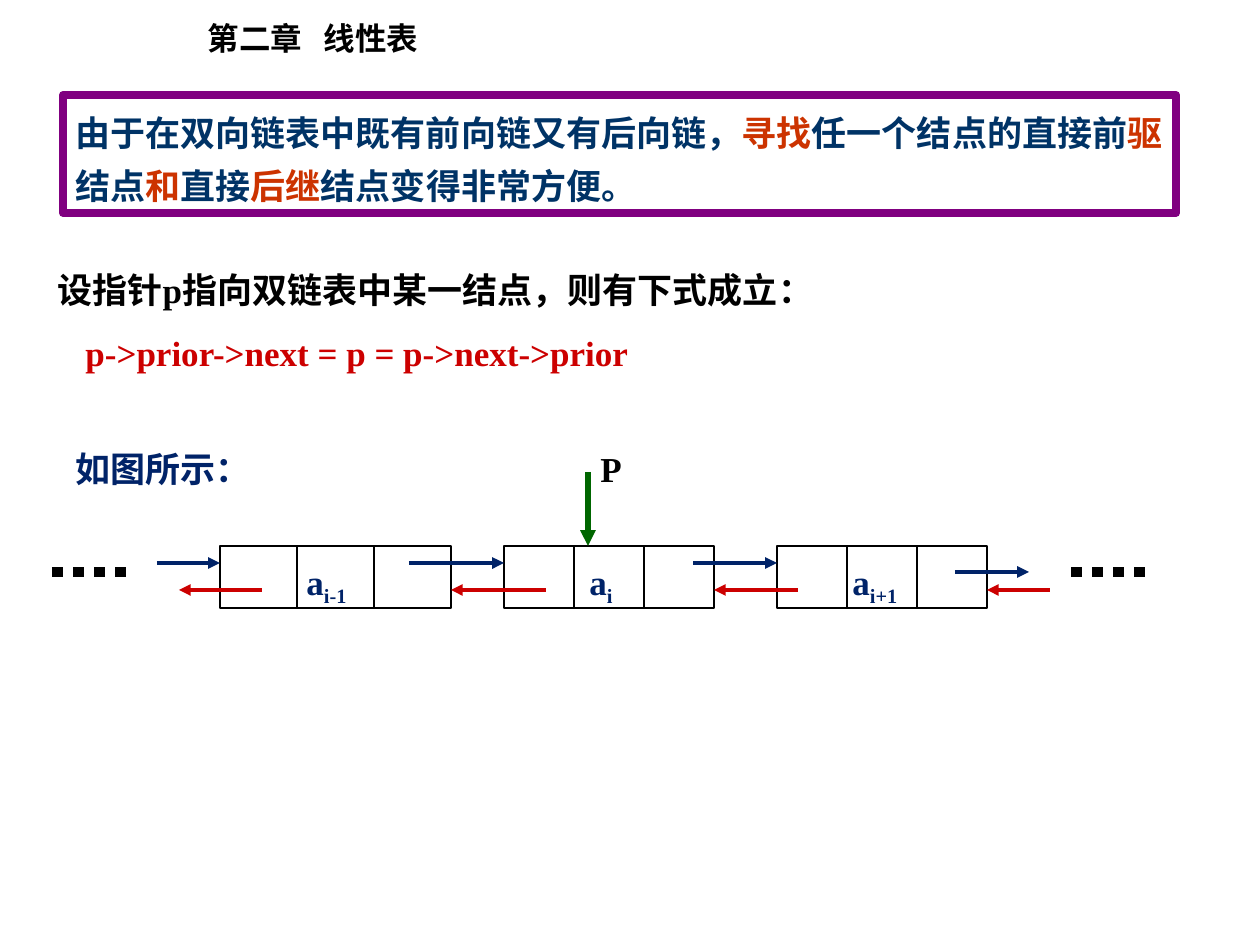
"""Build the slide on links between neighbours in a doubly linked list."""
import dataclasses

import pptx
import pptx.dml.color
import pptx.enum.dml
import pptx.enum.shapes
import pptx.enum.text
import pptx.oxml
import pptx.oxml.ns
import pptx.util

PX = 914400 / 126


@dataclasses.dataclass(frozen=True)
class Theme:
    """Hold the colours and type sizes of the slide."""
    font: str = "Times New Roman"
    title: int = 18
    body: int = 20
    black: str = "000000"
    navy: str = "002368"
    blue: str = "003366"
    orange: str = "CC3300"
    red: str = "CC0000"
    green: str = "006600"
    purple: str = "800080"


THEME = Theme()


def emu(px):
    """Turn px into EMU."""
    return pptx.util.Emu(round(px * PX))


def rgb(color):
    """Turn a hex string into a colour."""
    return pptx.dml.color.RGBColor.from_string(color)


def add_element(parent, tag, **attrs):
    """Append a drawing element with the given attributes."""
    child = pptx.oxml.parse_xml(f"<{tag} {pptx.oxml.ns.nsdecls('a')}/>")
    for name, value in attrs.items():
        child.set(name, value)
    parent.append(child)
    return child


def write(shape, parts, size=THEME.body, spacing=None, tab=None):
    """Fill a shape with one bold paragraph of (text, colour, baseline) parts."""
    tf = shape.text_frame
    tf.word_wrap = True
    tf.auto_size = pptx.enum.text.MSO_AUTO_SIZE.NONE
    tf.vertical_anchor = pptx.enum.text.MSO_ANCHOR.TOP
    p = tf.paragraphs[0]
    p.alignment = pptx.enum.text.PP_ALIGN.LEFT
    if spacing:
        p.line_spacing = spacing
    if tab:
        tabs = add_element(p._p.get_or_add_pPr(), "a:tabLst")
        add_element(tabs, "a:tab", pos=str(emu(tab)), algn="l")
    p.font.name = THEME.font
    p.font.size = pptx.util.Pt(size)
    p.font.bold = True
    for text, color, baseline in parts:
        r = p.add_run()
        r.text = text
        r.font.color.rgb = rgb(color)
        if baseline:
            r._r.get_or_add_rPr().set("baseline", str(baseline))


def add_text(shapes, box, parts, **style):
    """Add a text box."""
    write(shapes.add_textbox(*map(emu, box)), parts, **style)


def add_frame(shapes, box, color, width):
    """Add an unfilled rectangle."""
    s = shapes.add_shape(pptx.enum.shapes.MSO_SHAPE.RECTANGLE, *map(emu, box))
    s.shadow.inherit = False
    s.fill.background()
    s.line.color.rgb = rgb(color)
    s.line.width = pptx.util.Pt(width)
    return s


def add_line(shapes, start, end, color, width, arrow=False, dotted=False):
    """Add a straight line, with an arrowhead or dots if asked for."""
    s = shapes.add_connector(pptx.enum.shapes.MSO_CONNECTOR.STRAIGHT,
                             *map(emu, (*start, *end)))
    s.line.color.rgb = rgb(color)
    s.line.width = pptx.util.Pt(width)
    if dotted:
        s.line.dash_style = pptx.enum.dml.MSO_LINE.ROUND_DOT
    if arrow:
        add_element(s.line._get_or_add_ln(), "a:tailEnd", type="triangle")
    add_element(s._element.spPr, "a:effectLst")


def add_title(slide, box):
    """Place the chapter title."""
    s = slide.shapes.title
    s.left, s.top, s.width, s.height = map(emu, box)
    write(s, [("第二章\t线性表", THEME.black, 0)], size=THEME.title, tab=116)


def add_statement(shapes, box):
    """Add the framed statement with its key words picked out."""
    texts = ["由于在双向链表中既有前向链又有后向链，", "寻找", "任一个结点的直接前", "驱",
             "结点", "和", "直接", "后继", "结点变得非常方便。"]
    colors = (THEME.blue, THEME.orange)
    parts = [(text, colors[i % 2], 0) for i, text in enumerate(texts)]
    write(add_frame(shapes, box, THEME.purple, 4.5), parts, spacing=1.25)


def add_formula(shapes, box):
    """Add the lead-in and the identity below it."""
    x, y, w, h = box
    add_text(shapes, (x, y, w, 66),
             [("设指针p指向双链表中某一结点，则有下式成立：", THEME.black, 0)], spacing=1.25)
    add_text(shapes, (x + 28, y + 73, w - 189, h - 73),
             [("p->prior->next = p = p->next->prior", THEME.red, 0)])


def add_node(shapes, box, index, label_x, label_w):
    """Add a node of three equal cells with its label."""
    x, y, w, h = box
    add_frame(shapes, box, THEME.black, 1.5)
    for i in (1, 2):
        cx = x + w * i / 3
        add_line(shapes, (cx, y), (cx, y + h), THEME.black, 1.5)
    add_text(shapes, (x + label_x, y + 8, label_w, h - 2),
             [("a", THEME.navy, 0), (index, THEME.navy, -25000)])


def add_diagram(shapes, box):
    """Add the linked nodes, their links and the pointer."""
    x, y, w, h = box
    add_text(shapes, (x + 11, y, 179, 55), [("如图所示：", THEME.navy, 0)])
    group = shapes.add_group_shape().shapes
    node_y, node_h = y + 105, h - 105
    for nx, nw, index, label_x, label_w in ((168, 231, "i-1", 74, 73),
                                           (452, 210, "i", 73, 63),
                                           (725, 210, "i+1", 63, 84)):
        add_node(group, (x + nx, node_y, nw, node_h), index, label_x, label_w)
    next_links = [(105, 168, 122), (357, 452, 122), (641, 725, 122), (903, 977, 131)]
    prior_links = [(210, 127, 149), (494, 399, 149), (746, 662, 149), (998, 935, 149)]
    for links, color in ((next_links, THEME.navy), (prior_links, THEME.red)):
        for x1, x2, ly in links:
            add_line(group, (x + x1, y + ly), (x + x2, y + ly), color, 2.25, arrow=True)
    for dx in (x, x + w - 74):
        add_line(group, (dx, y + 131), (dx + 74, y + 131), THEME.black, 6, dotted=True)
    add_line(group, (x + 536, y + 31), (x + 536, node_y), THEME.green, 3, arrow=True)
    add_text(group, (x + 536, y, 63, 55), [("P", THEME.black, 0)])


def main():
    """Build and save the slide."""
    prs = pptx.Presentation()
    prs.slide_width, prs.slide_height = emu(1260), emu(945)
    slide = prs.slides.add_slide(prs.slide_layouts[5])
    add_title(slide, (195, 13, 242, 88))
    add_formula(slide.shapes, (45, 252, 798, 128))
    add_statement(slide.shapes, (63, 95, 1113, 118))
    add_diagram(slide.shapes, (52, 441, 1093, 167))
    prs.save("out.pptx")


if __name__ == "__main__":
    main()
